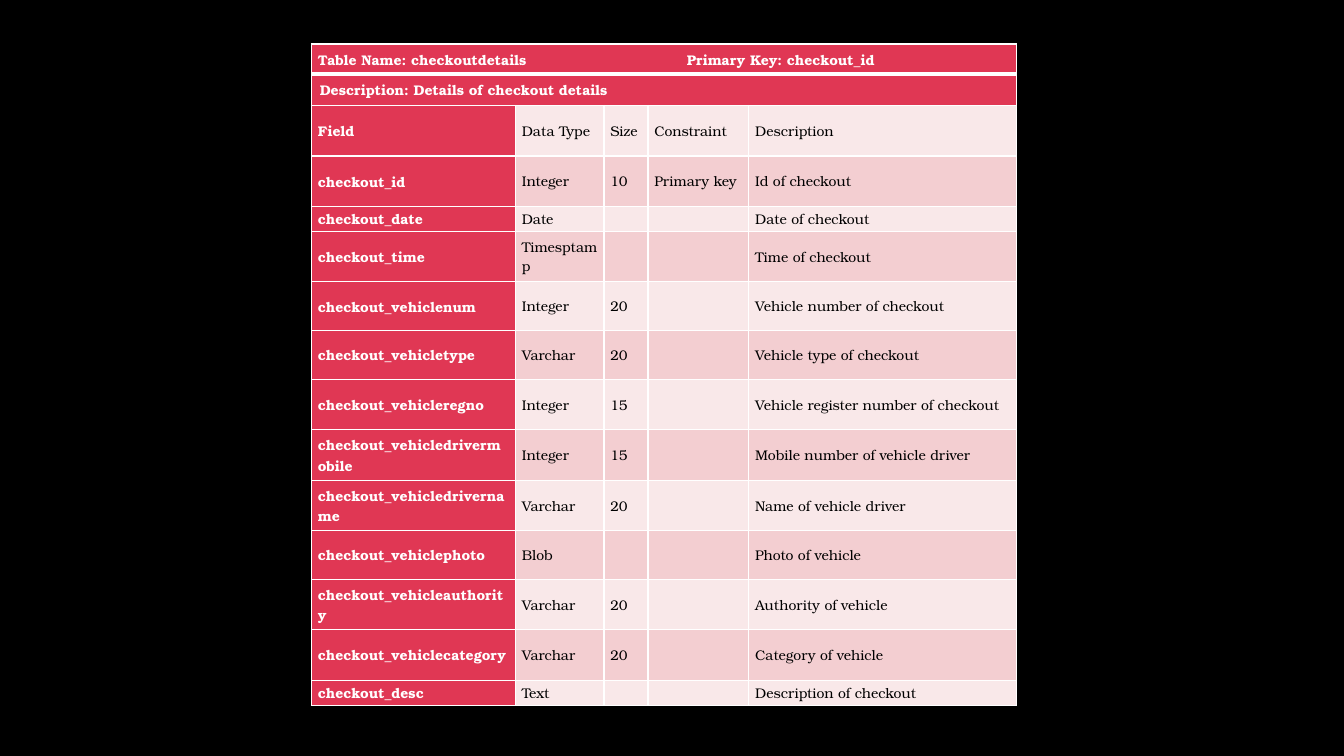
from lxml import etree
from pptx import Presentation
from pptx.dml.color import RGBColor
from pptx.enum.text import MSO_ANCHOR
from pptx.oxml.ns import qn
from pptx.util import Cm, Pt

# Content
TITLE = "Table Name: checkoutdetails\tPrimary Key: checkout_id"
SUBTITLE = "Description: Details of checkout details"
FIELDS = [
    ("Field", "Data Type", "Size", "Constraint", "Description"),
    ("checkout_id", "Integer", "10", "Primary key", "Id of checkout"),
    ("checkout_date", "Date", "", "", "Date of checkout"),
    ("checkout_time", "Timesptamp", "", "", "Time of checkout"),
    ("checkout_vehiclenum", "Integer", "20", "", "Vehicle number of checkout"),
    ("checkout_vehicletype", "Varchar", "20", "", "Vehicle type of checkout"),
    ("checkout_vehicleregno", "Integer", "15", "", "Vehicle register number of checkout"),
    ("checkout_vehicledrivermobile", "Integer", "15", "", "Mobile number of vehicle driver"),
    ("checkout_vehicledrivername", "Varchar", "20", "", "Name of vehicle driver"),
    ("checkout_vehiclephoto", "Blob", "", "", "Photo of vehicle"),
    ("checkout_vehicleauthority", "Varchar", "20", "", "Authority of vehicle"),
    ("checkout_vehiclecategory", "Varchar", "20", "", "Category of vehicle"),
    ("checkout_desc", "Text", "", "", "Description of checkout"),
]
ROWS = [(TITLE, "", "", "", ""), (SUBTITLE, "", "", "", "")] + FIELDS
BANNERS = 2

# Layout in centimetres
LEFT, TOP = 7.85, 1.11
COL_WIDTHS = [5.14, 2.23, 1.11, 2.54, 6.75]
TALL, MID, LOW = 1.27, 1.23, 0.63
ROW_HEIGHTS = [0.76, 0.79, TALL, TALL, LOW, TALL, MID, MID,
               TALL, TALL, TALL, MID, TALL, TALL, LOW]
KEY_TAB = 9.3

# Style
BLACK = RGBColor(0x00, 0x00, 0x00)
WHITE = RGBColor(0xFF, 0xFF, 0xFF)
RED = RGBColor(0xE0, 0x37, 0x54)
BANDS = [RGBColor(0xF9, 0xE8, 0xE9), RGBColor(0xF3, 0xCE, 0xD1)]
FONT = {"name": "TeX Gyre Bonum", "size": Pt(10)}
CELL = {"margin_left": Cm(0.16), "margin_right": Cm(0.16), "margin_top": 0,
        "margin_bottom": 0, "vertical_anchor": MSO_ANCHOR.MIDDLE}
THIN, THICK = Pt(1), Pt(3)


def apply(obj, values):
    for name, value in values.items():
        setattr(obj, name, value)


def add_borders(cell, row):
    widths = {"L": THIN, "R": THIN,
              "T": THICK if row == 1 else THIN,
              "B": THICK if row == 0 else THIN}
    tc_pr = cell._tc.get_or_add_tcPr()
    for side, width in widths.items():
        ln = etree.SubElement(tc_pr, qn(f"a:ln{side}"), w=str(int(width)))
        fill = etree.SubElement(ln, qn("a:solidFill"))
        etree.SubElement(fill, qn("a:srgbClr"), val=str(WHITE))


def write_text(cell, text, strong):
    p = cell.text_frame.paragraphs[0]
    if text:
        r = p.add_run()
        r.text = text
        apply(r.font, FONT)
        r.font.bold = strong
        r.font.color.rgb = WHITE if strong else BLACK
    else:
        # Small end mark keeps empty cells from stretching low rows
        end = etree.SubElement(p._p, qn("a:endParaRPr"), sz="1000")
        etree.SubElement(end, qn("a:latin"), typeface=FONT["name"])
    return p


# Slide
prs = Presentation()
prs.slide_width, prs.slide_height = Cm(33.87), Cm(19.05)
s = prs.slides.add_slide(prs.slide_layouts[6])
s.background.fill.solid()
s.background.fill.fore_color.rgb = BLACK

# Table grid
table = s.shapes.add_table(len(ROWS), len(COL_WIDTHS), Cm(LEFT), Cm(TOP),
                           Cm(sum(COL_WIDTHS)), Cm(sum(ROW_HEIGHTS))).table
apply(table, {"first_row": False, "horz_banding": False})
for column, width in zip(table.columns, COL_WIDTHS):
    column.width = Cm(width)
for table_row, height in zip(table.rows, ROW_HEIGHTS):
    table_row.height = Cm(height)

# Cells
for i, values in enumerate(ROWS):
    for j, text in enumerate(values):
        cell = table.cell(i, j)
        strong = i < BANNERS or j == 0
        apply(cell, CELL)
        add_borders(cell, i)
        cell.fill.solid()
        cell.fill.fore_color.rgb = RED if strong else BANDS[i % 2]
        write_text(cell, text, strong)

# Banner rows
for i in range(BANNERS):
    table.cell(i, 0).merge(table.cell(i, len(COL_WIDTHS) - 1))
title_pr = table.cell(0, 0).text_frame.paragraphs[0]._p.get_or_add_pPr()
tabs = etree.SubElement(title_pr, qn("a:tabLst"))
etree.SubElement(tabs, qn("a:tab"), pos=str(int(Cm(KEY_TAB))), algn="l")
subtitle_pr = table.cell(1, 0).text_frame.paragraphs[0]._p.get_or_add_pPr()
subtitle_pr.set("marL", str(int(Cm(0.05))))

prs.save("out.pptx")
